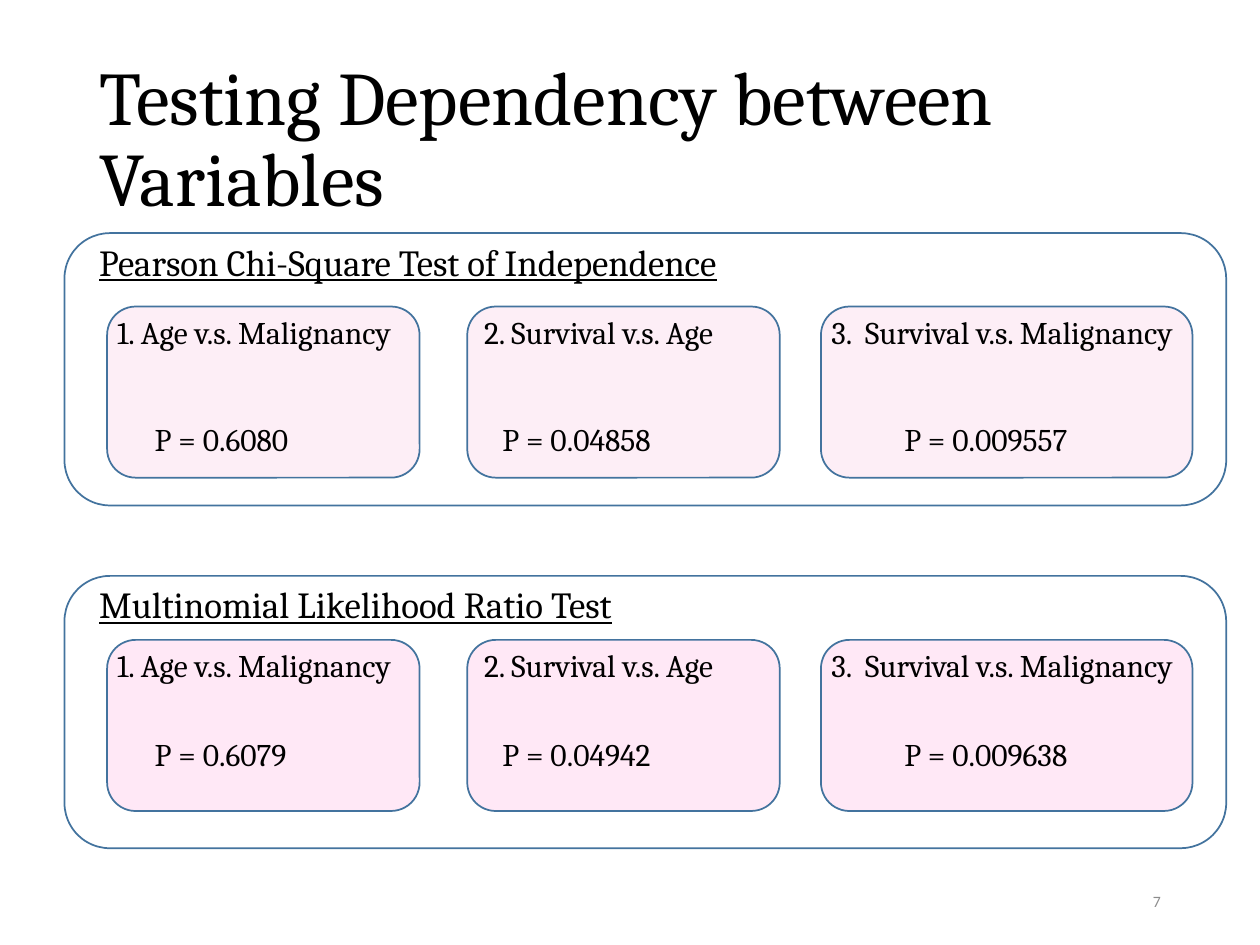
from pptx import Presentation
from pptx import util as u
from pptx.dml.color import RGBColor
from pptx.enum import shapes, text

TITLE = "Testing Dependency between Variables"
PAGE = "7"
PAIRS = ["1. Age v.s. Malignancy", "2. Survival v.s. Age",
         "3.  Survival v.s. Malignancy"]
TESTS = [
    dict(name="Pearson Chi-Square Test of Independence", tint="rose",
         top=4.7, cards=6.18, result=8.34,
         values=["0.6080", "0.04858", "0.009557"]),
    dict(name="Multinomial Likelihood Ratio Test", tint="pink",
         top=11.61, cards=12.9, result=14.7,
         values=["0.6079", "0.04942", "0.009638"]),
]
# Lengths in cm: card left, card width, label left, label width, result left
COLUMNS = [
    (2.16, 6.3, 2.11, 7.2, 2.87),
    (9.42, 6.3, 9.51, 7.54, 9.88),
    (16.55, 7.49, 16.51, 7.82, 17.98),
]
COLORS = dict(white="FFFFFF", rose="FDEEF6", pink="FFE8F6",
              edge="43739E", ink="000000", gray="8C8C8C")


def color(name):
    """Return the named colour."""
    return RGBColor.from_string(COLORS[name])


def style(par, size, font="Cambria", ink="ink", under=None):
    """Format all runs of a paragraph."""
    for run in par.runs:
        run.font.size = u.Pt(size)
        run.font.name = font
        run.font.color.rgb = color(ink)
        run.font.underline = under


def panel(slide, left, top, width, height, fill):
    """Draw a rounded, outlined panel."""
    box = slide.shapes.add_shape(
        shapes.MSO_SHAPE.ROUNDED_RECTANGLE,
        u.Cm(left), u.Cm(top), u.Cm(width), u.Cm(height))
    box.shadow.inherit = False
    box.fill.solid()
    box.fill.fore_color.rgb = color(fill)
    box.line.color.rgb = color("edge")
    box.line.width = u.Pt(1)


def label(slide, words, left, top, width, height=1.02, size=18, **look):
    """Add a line of text and return its box."""
    box = slide.shapes.add_textbox(
        u.Cm(left), u.Cm(top), u.Cm(width), u.Cm(height))
    frame = box.text_frame
    frame.word_wrap = True
    frame.text = words
    style(frame.paragraphs[0], size, **look)
    return box


def head(slide):
    """Fill and place the title."""
    title = slide.shapes.title
    title.left, title.top = u.Cm(1.75), u.Cm(1.01)
    title.width, title.height = u.Cm(21.9), u.Cm(3.68)
    frame = title.text_frame
    frame.text = TITLE
    frame.word_wrap = True
    frame.auto_size = text.MSO_AUTO_SIZE.NONE
    frame.vertical_anchor = text.MSO_ANCHOR.MIDDLE
    par = frame.paragraphs[0]
    par.alignment = text.PP_ALIGN.LEFT
    par.line_spacing = 0.9
    style(par, 43.2)


def block(slide, test):
    """Draw one test with its three result cards."""
    panel(slide, 1.3, test["top"], 23.42, 5.49, "white")
    label(slide, test["name"], 1.75, test["top"], 13.92, 1.14, 21, under=True)
    for column, pair, value in zip(COLUMNS, PAIRS, test["values"]):
        left, width, text_left, text_width, value_left = column
        panel(slide, left, test["cards"], width, 3.45, test["tint"])
        label(slide, pair, text_left, test["cards"], text_width)
        label(slide, f"P = {value}", value_left, test["result"], 4.93)


def foot(slide):
    """Add the page number."""
    box = label(slide, PAGE, 17.93, 17.65, 5.72, size=9,
                font="Calibri", ink="gray")
    box.text_frame.vertical_anchor = text.MSO_ANCHOR.MIDDLE
    box.text_frame.paragraphs[0].alignment = text.PP_ALIGN.RIGHT


deck = Presentation()
deck.slide_width, deck.slide_height = u.Cm(25.4), u.Cm(19.05)
page = deck.slides.add_slide(deck.slide_layouts[5])
head(page)
for test in TESTS:
    block(page, test)
foot(page)
deck.save("out.pptx")
